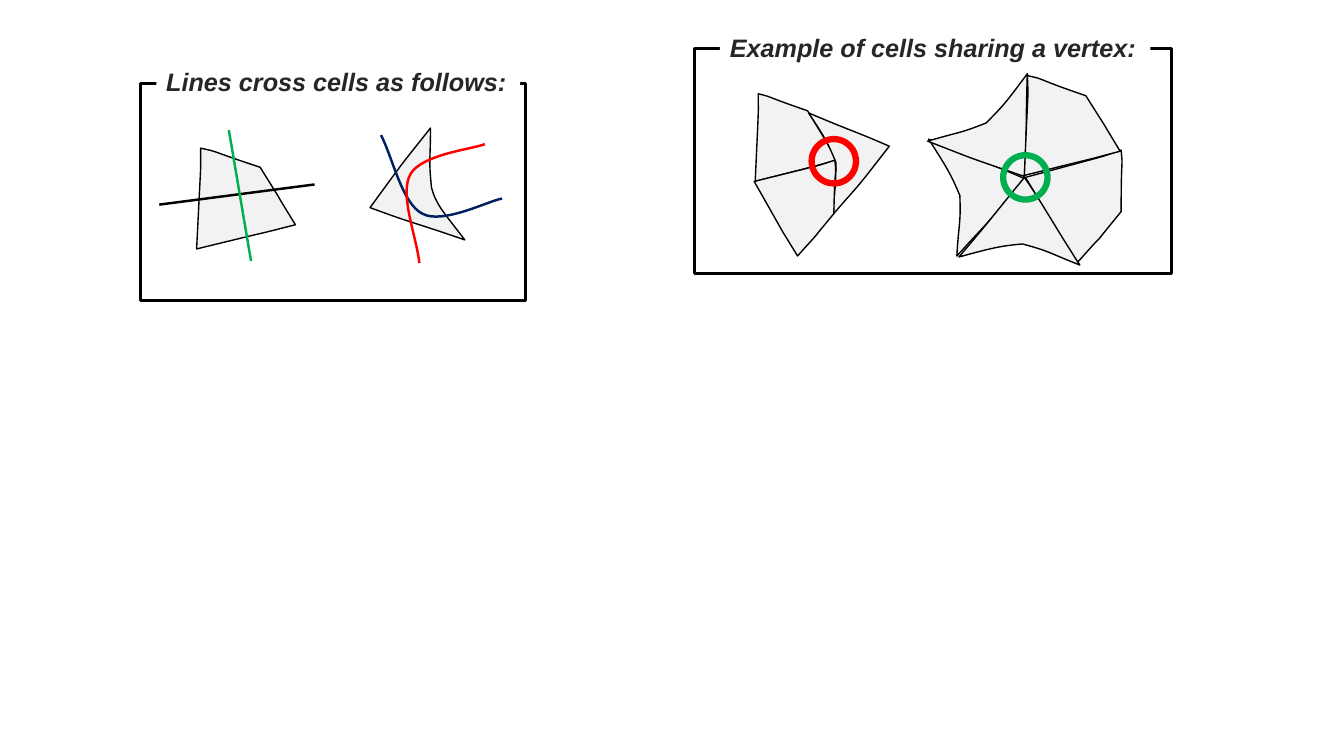
from dataclasses import dataclass
from math import cos, radians, sin

from pptx import Presentation
from pptx.dml.color import RGBColor
from pptx.enum.shapes import MSO_CONNECTOR as CONN, MSO_SHAPE as SHAPE
from pptx.enum.text import MSO_AUTO_SIZE as FIT, PP_ALIGN as ALIGN
from pptx.oxml.ns import qn
from pptx.util import Emu, Pt

PX = 9144  # 100 px to the inch


@dataclass(frozen=True)
class Theme:
    font: str = "Arial"
    title_size: float = 18
    text: str = "262626"
    paper: str = "FFFFFF"
    cell: str = "F2F2F2"
    black: str = "000000"
    green: str = "00B050"
    navy: str = "002060"
    red: str = "FF0000"
    frame_width: float = 2.25
    cell_width: float = 1
    curve_width: float = 1.75
    ring_width: float = 4.5


T = Theme()

# Each outline is a start point followed by cubic triples: control, control, end.
# The number before it is the rotation of its shape in degrees.
CROSSED_CELLS = [
    (0, [(56, 164), (61, 63), (60, 93), (60, 64), (82, 69), (59, 63), (119, 83),
         (154, 139), (122, 88), (154, 140), (99, 154), (150, 141), (56, 164)]),
    (0, [(228, 123), (269, 67), (254, 87), (288, 44), (288, 78), (286, 73), (289, 103),
         (294, 121), (300, 126), (322, 155), (267, 136), (274, 140), (228, 123)]),
]
STRAIGHT_LINES = [
    ((19, 120), (173, 100), T.black),
    ((110, 176), (88, 46), T.green),
]
CURVED_LINES = [
    (0, [(239, 51), (251, 75), (260, 119), (280, 129),
         (300, 140), (346, 116), (359, 114)], T.navy),
    (326.5, [(277, 178), (274, 151), (257, 110), (268, 90),
             (279, 70), (330, 65), (342, 60)], T.red),
]
THREE_CELLS = [
    (0, [(60, 132), (64, 45), (63, 70), (63, 45), (82, 50), (63, 45), (112, 62),
         (141, 110), (115, 66), (141, 111), (96, 123), (138, 112), (60, 132)]),
    (183.2, [(193, 97), (155, 146), (168, 129), (137, 165), (139, 135), (140, 139),
             (140, 113), (133, 96), (131, 91), (113, 64), (160, 84), (154, 80), (193, 97)]),
    (73.3, [(59, 132), (140, 112), (116, 118), (139, 111), (141, 130), (139, 110),
            (138, 164), (103, 206), (136, 168), (102, 206), (77, 165), (100, 204), (59, 132)]),
]
FIVE_CELLS = [
    (183.2, [(327, 129), (282, 184), (297, 165), (260, 206), (262, 171), (264, 176),
             (263, 146), (255, 127), (252, 121), (232, 90), (287, 113), (280, 109), (327, 129)]),
    (110.5, [(327, 128), (367, 187), (353, 167), (382, 215), (349, 202), (354, 202),
             (325, 194), (305, 196), (298, 197), (262, 207), (301, 161), (295, 167), (327, 128)]),
    (252.8, [(327, 127), (260, 104), (283, 112), (231, 92), (265, 82), (261, 85),
             (289, 74), (304, 59), (308, 55), (330, 25), (328, 85), (330, 76), (327, 127)]),
    (71.8, [(328, 128), (424, 102), (396, 110), (423, 101), (425, 123), (423, 100),
            (423, 162), (382, 212), (420, 167), (380, 212), (351, 166), (378, 209), (328, 128)]),
    (0, [(327, 126), (331, 27), (331, 56), (330, 27), (352, 32), (330, 27), (388, 47),
         (422, 101), (391, 51), (422, 102), (369, 116), (419, 103), (327, 126)]),
]
VERTEX_GROUPS = [
    (THREE_CELLS, (116, 90), T.red),
    (FIVE_CELLS, (306, 106), T.green),
]
RING_SIZE = 44


def emu(*lengths):
    return [Emu(round(v * PX)) for v in lengths]


def style(s, fill=None, line=None, width=1):
    s.shadow.inherit = False
    if fill:
        s.fill.solid()
        s.fill.fore_color.rgb = RGBColor.from_string(fill)
    else:
        s.fill.background()
    s.line.color.rgb = RGBColor.from_string(line)
    s.line.width = Pt(width)


def add_text(shapes, box, text, size, color, bold=False, italic=False, fill=None):
    s = shapes.add_textbox(*emu(*box))
    if fill:
        s.fill.solid()
        s.fill.fore_color.rgb = RGBColor.from_string(fill)
    tf = s.text_frame
    tf.word_wrap = False
    tf.auto_size = FIT.SHAPE_TO_FIT_TEXT
    p = tf.paragraphs[0]
    p.alignment = ALIGN.LEFT
    r = p.add_run()
    r.text = text
    r.font.name, r.font.size = T.font, Pt(size)
    r.font.bold, r.font.italic = bold, italic
    r.font.color.rgb = RGBColor.from_string(color)


def turn(point, angle):
    x, y = point
    c, s = cos(radians(angle)), sin(radians(angle))
    return x * c - y * s, x * s + y * c


def unturned(points, angle):
    """Where the points lie before their shape turns about its own centre."""
    flat = [turn(p, -angle) for p in points]
    middle = [(min(axis) + max(axis)) / 2 for axis in zip(*flat)]
    centre = turn(middle, angle)
    return [(x - middle[0] + centre[0], y - middle[1] + centre[1]) for x, y in flat]


def add_curve(shapes, box, angle, outline, closed=False, **look):
    points = [emu(box[0] + x, box[1] + y) for x, y in unturned(outline, angle)]
    builder = shapes.build_freeform(*points[0], scale=1.0)
    builder.add_line_segments(points[1:], close=closed)
    s = builder.convert_to_shape()
    s.rotation = angle
    style(s, **look)
    # Join each three segments into one cubic curve
    segments = list(s._element.iter(qn("a:lnTo")))
    for i in range(0, len(outline) - 1, 3):
        first = segments[i]
        cubic = first.makeelement(qn("a:cubicBezTo"), {})
        first.addprevious(cubic)
        for segment in segments[i:i + 3]:
            cubic.append(segment[0])
            segment.getparent().remove(segment)


def add_cell(shapes, box, angle, outline):
    add_curve(shapes, box, angle, outline, closed=True,
              fill=T.cell, line=T.black, width=T.cell_width)


def add_line(shapes, box, start, end, color):
    x, y = box[:2]
    s = shapes.add_connector(
        CONN.STRAIGHT, *emu(x + start[0], y + start[1], x + end[0], y + end[1]))
    s.line.color.rgb = RGBColor.from_string(color)
    s.line.width = Pt(T.curve_width)
    sp_pr = s._element.spPr
    sp_pr.append(sp_pr.makeelement(qn("a:effectLst"), {}))


def add_frame(shapes, box):
    s = shapes.add_shape(SHAPE.RECTANGLE, *emu(*box))
    style(s, fill=T.paper, line=T.black, width=T.frame_width)


def add_title(shapes, box, text, left, top, width):
    add_text(shapes, (box[0] + left, box[1] + top, width, 40), text,
             T.title_size, T.text, bold=True, italic=True, fill=T.paper)


def crossing_panel(slide, box):
    shapes = slide.shapes.add_group_shape().shapes
    add_frame(shapes, box)
    for angle, outline in CROSSED_CELLS:
        add_cell(shapes, box, angle, outline)
    # Lines across the cells
    for start, end, color in STRAIGHT_LINES:
        add_line(shapes, box, start, end, color)
    for angle, outline, color in CURVED_LINES:
        add_curve(shapes, box, angle, outline, line=color, width=T.curve_width)
    add_title(shapes, box, "Lines cross cells as follows:", 16, -22, 361)


def vertex_panel(slide, box):
    shapes = slide.shapes.add_group_shape().shapes
    add_frame(shapes, box)
    add_title(shapes, box, "Example of cells sharing a vertex:", 25, -21, 427)
    for cells, (x, y), color in VERTEX_GROUPS:
        for angle, outline in cells:
            add_cell(shapes, box, angle, outline)
        # Ring around the shared vertex
        ring = shapes.add_shape(
            SHAPE.OVAL, *emu(box[0] + x, box[1] + y, RING_SIZE, RING_SIZE))
        style(ring, line=color, width=T.ring_width)


def main():
    prs = Presentation()
    prs.slide_width, prs.slide_height = emu(1333, 750)
    slide = prs.slides.add_slide(prs.slide_layouts[6])
    crossing_panel(slide, (139, 83, 382, 215))
    vertex_panel(slide, (689, 48, 473, 223))
    prs.save("out.pptx")


if __name__ == "__main__":
    main()
